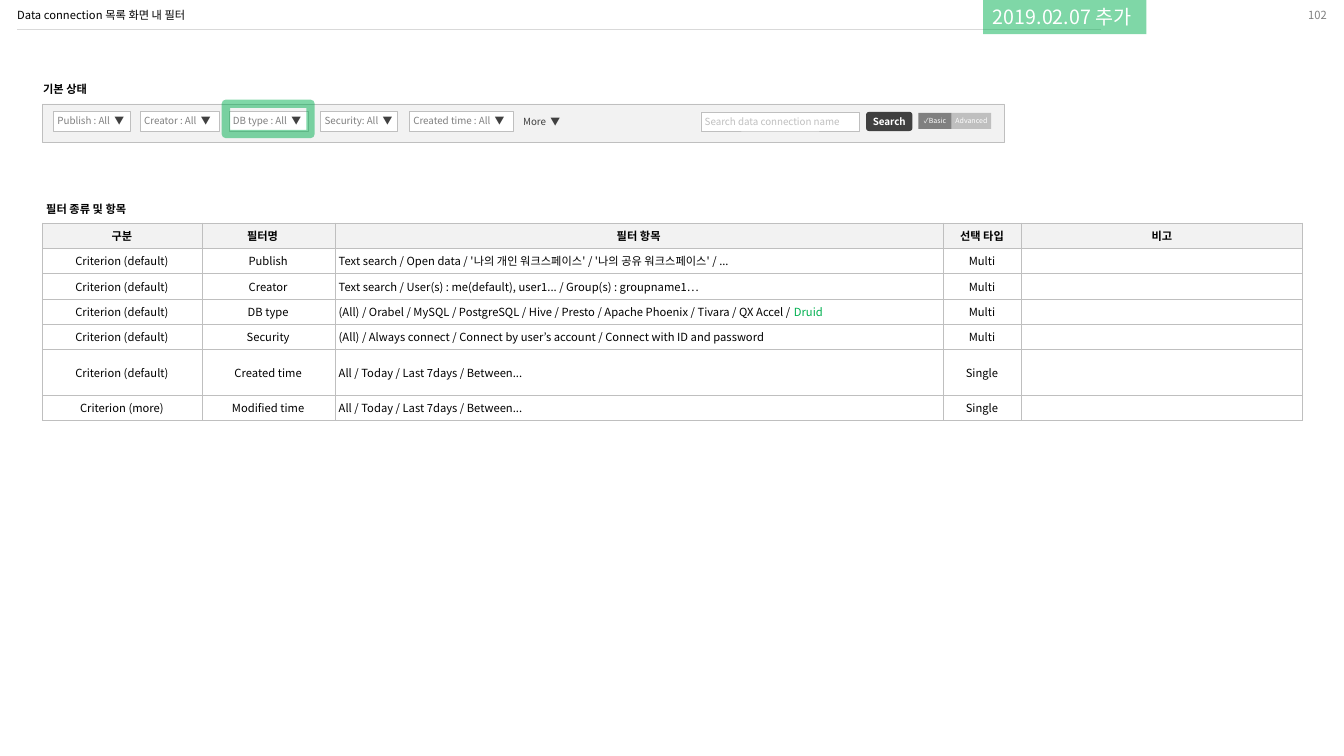
from dataclasses import dataclass

from lxml import etree
from pptx import Presentation
from pptx.dml.color import RGBColor
from pptx.enum.shapes import MSO_CONNECTOR, MSO_SHAPE
from pptx.enum.text import MSO_ANCHOR, MSO_AUTO_SIZE, PP_ALIGN
from pptx.oxml.ns import qn
from pptx.util import Pt

PX = 9144  # 100 px to the inch
FONT = "Noto Sans CJK KR"
RECT, ROUND = MSO_SHAPE.RECTANGLE, MSO_SHAPE.ROUNDED_RECTANGLE
LEFT, MID, RIGHT = PP_ALIGN.LEFT, PP_ALIGN.CENTER, PP_ALIGN.RIGHT
TOP, MIDDLE = MSO_ANCHOR.TOP, MSO_ANCHOR.MIDDLE
STRAIGHT = MSO_CONNECTOR.STRAIGHT
NO_FIT = MSO_AUTO_SIZE.NONE
BLACK, WHITE, GREEN = "000000", "FFFFFF", "00B050"
DARK, GREY, EDGE, PALE = "404040", "808080", "BFBFBF", "F2F2F2"
HAIR = 0.25


@dataclass
class Run:
    text: str
    size: int = 8
    color: str = BLACK
    bold: bool = False


@dataclass
class Box:
    """A shape, or a text box when kind is None; pad is left, top, right, bottom."""
    x: int
    y: int
    w: int
    h: int
    runs: tuple[Run, ...] = ()
    kind: int | None = RECT
    fill: str | None = None
    edge: str | None = None
    thick: float = HAIR
    alpha: int = 100
    bend: float = 0
    pad: tuple[int, int, int, int] = (10, 5, 10, 5)
    align: int = LEFT
    anchor: int = MIDDLE
    wrap: bool = True


def paint(target, color: str, alpha: int = 100) -> None:
    """Colour a fill or a font; alpha below 100 makes it see-through."""
    if hasattr(target, "solid"):
        target.solid()
        shade = target.fore_color
    else:
        shade = target.color
    shade.rgb = RGBColor.from_string(color)
    if alpha < 100:
        node = target._xPr.find(qn("a:solidFill"))[0]
        etree.SubElement(node, qn("a:alpha"), val=str(alpha * 1000))


def write(para, runs: tuple[Run, ...], align: int = LEFT) -> None:
    para.alignment = align
    for item in runs:
        run = para.add_run()
        run.text = item.text
        font = run.font
        font.name, font.size, font.bold = FONT, Pt(item.size), item.bold
        paint(font, item.color)
        etree.SubElement(font._element, qn("a:ea"), typeface=FONT)


def fit(frame, pad: tuple[int, int, int, int], anchor: int, wrap: bool) -> None:
    frame.auto_size = NO_FIT
    frame.word_wrap = wrap
    frame.vertical_anchor = anchor
    (frame.margin_left, frame.margin_top,
     frame.margin_right, frame.margin_bottom) = (p * PX for p in pad)


def draw(slide, box: Box) -> None:
    area = [v * PX for v in (box.x, box.y, box.w, box.h)]
    if box.kind is None:
        shape = slide.shapes.add_textbox(*area)
    else:
        shape = slide.shapes.add_shape(box.kind, *area)
        shape.shadow.inherit = False
        if box.kind == ROUND:
            shape.adjustments[0] = box.bend
        if box.fill:
            paint(shape.fill, box.fill, box.alpha)
        else:
            shape.fill.background()
        if box.edge:
            paint(shape.line.fill, box.edge, box.alpha)
            shape.line.width = Pt(box.thick)
        else:
            shape.line.fill.background()
    if box.runs:
        fit(shape.text_frame, box.pad, box.anchor, box.wrap)
        write(shape.text_frame.paragraphs[0], box.runs, box.align)


def label(x: int, y: int, w: int, text: str) -> Box:
    return Box(x, y, w, 24, (Run(text, bold=True),), None, anchor=TOP, wrap=False)


def pick(x: int, w: int, text: str) -> Box:
    """A filter drop-down in the search bar."""
    runs = (Run(text + "  ", 7, GREY), Run("▼", 7, DARK))
    return Box(x, 110, w, 20, runs, fill=WHITE, edge=EDGE, pad=(4, 4, 4, 4), wrap=False)


def knob(x: int, y: int, w: int, h: int, run: Run, fill: str, bend: float = 0) -> Box:
    return Box(x, y, w, h, (run,), ROUND, fill, bend=bend, pad=(0, 4, 0, 4), align=MID)


BOXES = (
    Box(1268, 0, 48, 29, (Run("102", 8, GREY),), None, pad=(0, 0, 0, 0), align=RIGHT),
    Box(42, 103, 954, 38, fill=PALE, edge=EDGE),
    label(33, 77, 69, "기본 상태"),
    label(36, 196, 111, "필터 종류 및 항목"),
    pick(53, 76, "Publish : All"),
    pick(139, 78, "Creator : All"),
    pick(227, 79, "DB type : All"),
    pick(318, 76, "Security: All"),
    pick(406, 103, "Created time : All"),
    Box(509, 111, 61, 19, (Run("More  ▼", 7, DARK),), None),
    Box(695, 111, 157, 19, (Run("Search data connection name", 7, EDGE),),
        fill=WHITE, edge=EDGE, pad=(4, 4, 0, 4), wrap=False),
    knob(859, 111, 46, 19, Run("Search", 7, WHITE, True), DARK, 0.16),
    knob(911, 112, 33, 16, Run("✓Basic", 5, WHITE), GREY),
    knob(944, 112, 39, 16, Run("Advanced", 5, WHITE), EDGE),
    Box(975, 0, 162, 34, (Run("2019.02.07 추가", 14, WHITE),), fill=GREEN, alpha=50,
        anchor=TOP, wrap=False),
    Box(224, 103, 84, 30, edge=GREEN, thick=6, alpha=50),
)

COLS = (158, 132, 603, 78, 279)
TALL, HIGH, ALL = 45, 196, "Criterion (default)"
SPAN = "All / Today / Last 7days / Between..."
ROWS = (
    ("구분", "필터명　", "필터 항목", "선택 타입", "비고"),
    (ALL, "Publish",
     "Text search / Open data / '나의 개인 워크스페이스' / '나의 공유 워크스페이스' / ...", "Multi", ""),
    (ALL, "Creator",
     "Text search / User(s) : me(default), user1... / Group(s) : groupname1…", "Multi", ""),
    (ALL, "DB type",
     "(All) / Orabel / MySQL / PostgreSQL / Hive / Presto / Apache Phoenix / Tivara / QX Accel / ",
     "Multi", ""),
    (ALL, "Security",
     "(All) / Always connect / Connect by user’s account / Connect with ID and password",
     "Multi", ""),
    (ALL, "Created time", SPAN, "Single", ""),
    ("Criterion (more)", "Modified time", SPAN, "Single", ""),
)
ADDED = {(3, 2): Run("Druid", color=GREEN)}


def frame(cell) -> None:
    """Give a cell a hairline on all sides."""
    props = cell._tc.get_or_add_tcPr()
    for i, side in enumerate(("lnL", "lnR", "lnT", "lnB")):
        line = etree.Element(qn("a:" + side), w=str(Pt(HAIR)))
        fill = etree.SubElement(line, qn("a:solidFill"))
        etree.SubElement(fill, qn("a:srgbClr"), val=EDGE)
        props.insert(i, line)


def grid(slide) -> None:
    table = slide.shapes.add_table(len(ROWS), len(COLS), 42 * PX, 221 * PX,
                                   sum(COLS) * PX, HIGH * PX).table
    table.first_row = table.horz_banding = False
    for col, wide in zip(table.columns, COLS):
        col.width = wide * PX
    low = (HIGH - TALL) * PX // (len(ROWS) - 1)
    for r, row in enumerate(ROWS):
        table.rows[r].height = TALL * PX if row[1] == "Created time" else low
        for c, text in enumerate(row):
            cell, head = table.cell(r, c), r == 0
            pad = (1, 1, 1, 0) if head else (4, 0, 4, 0)
            (cell.margin_left, cell.margin_top,
             cell.margin_right, cell.margin_bottom) = (p * PX for p in pad)
            cell.vertical_anchor = MIDDLE
            if head:
                paint(cell.fill, PALE)
            else:
                cell.fill.background()
            frame(cell)
            para = cell.text_frame.paragraphs[0]
            if text:
                runs = (Run(text, bold=head),)
                if (r, c) in ADDED:
                    runs += (ADDED[r, c],)
                write(para, runs, LEFT if c == 2 and not head else MID)
            else:
                etree.SubElement(para._p, qn("a:endParaRPr"), sz="800")


def main() -> None:
    deck = Presentation()
    deck.slide_width, deck.slide_height = 1333 * PX, 750 * PX
    slide = deck.slides.add_slide(deck.slide_layouts[5])
    title = slide.shapes.title
    title.left, title.top, title.width, title.height = (v * PX for v in (17, 3, 1075, 25))
    fit(title.text_frame, (0, 0, 0, 0), MIDDLE, True)
    para = title.text_frame.paragraphs[0]
    para.line_spacing = 0.9
    write(para, (Run("Data connection 목록 화면 내 필터"),))
    rule = slide.shapes.add_connector(STRAIGHT, 17 * PX, 29 * PX, 1092 * PX, 29 * PX)
    paint(rule.line.fill, "D9D9D9")
    rule.line.width = Pt(HAIR)
    etree.SubElement(rule._element.spPr, qn("a:effectLst"))
    grid(slide)
    for box in BOXES:
        draw(slide, box)
    deck.save("out.pptx")


if __name__ == "__main__":
    main()
